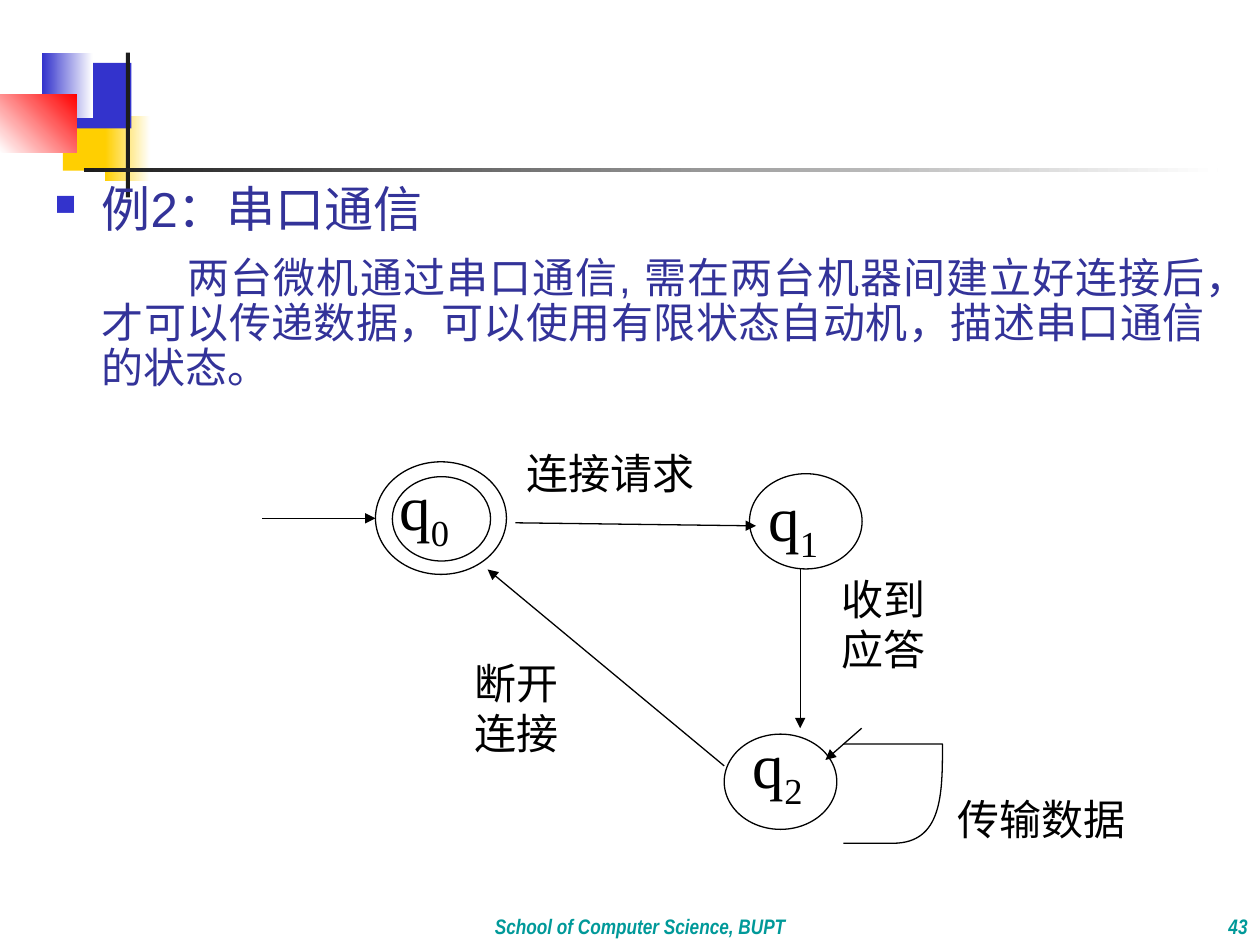
from lxml import etree
from pptx import Presentation
from pptx.dml.color import RGBColor
from pptx.enum.shapes import MSO_CONNECTOR as Connector, MSO_SHAPE as Preset
from pptx.enum.text import MSO_ANCHOR as Anchor, PP_ALIGN as Align
from pptx.oxml.ns import qn
from pptx.util import Cm, Pt

SERIF, NARROW = "Times New Roman", "Arial Narrow"
BLACK, WHITE, BLUE, INDIGO, TEAL = "000000", "FFFFFF", "3333CC", "333399", "009999"

# Corner decoration: box in cm, colours (two make a gradient), gradient angle
DECORATION = [
    ((1.27, 2.12, 1.22, 1.32), ["FFCF01"], 0),
    ((2.12, 2.33, 0.91, 1.32), ["FFCF01", WHITE], 0),
    ((1.48, 1.27, 1.17, 1.32), [BLUE], 0),
    ((0.85, 1.06, 1.02, 1.32), [BLUE, WHITE], 0),
    ((0, 1.9, 1.55, 1.17), [WHITE, "FF0000"], 45),
    ((2.54, 1.06, 0.08, 2.92), ["1C1C1C"], 0),
    ((1.69, 3.39, 22.86, 0.08), ["1C1C1C", WHITE], 0),
]
FOOTERS = [
    ((21.17, 17.78, 4.23, 1.27), "43", Align.RIGHT, 1),
    ((4.02, 17.78, 17.78, 1.27), "School of Computer Science, BUPT", Align.CENTER, 1.1),
]
BODY_BOX = (0.85, 3.6, 23.7, 4.88)
HEADING = "例2：串口通信"
DESCRIPTION = ("两台微机通过串口通信, 需在两台机器间建立好连接后，才可以传递数据，"
               "可以使用有限状态自动机，描述串口通信的状态。")

# State diagram
TRANSITION_LABELS = [
    ((19.05, 15.88, 5.29, 1.92), ["传输数据"]),
    ((16.72, 11.43, 3.78, 3.2), ["收到", "应答"]),
    ((9.31, 13.12, 3.78, 3.2), ["断开", "连接"]),
    ((10.37, 8.89, 5.29, 1.92), ["连接请求"]),
]
STATE_RINGS = [
    (7.57, 9.31, 2.64, 2.27),
    (7.91, 9.61, 1.98, 1.7),
    (15.11, 9.55, 2.27, 1.92),
    (14.6, 14.8, 2.27, 1.92),
]
STATE_NAMES = [
    ((7.8, 9.31, 2.27, 1.92), "0"),
    ((15.24, 9.53, 2.69, 2.34), "1"),
    ((14.93, 14.51, 2.27, 1.92), "2"),
]
ARROWS = [
    (5.29, 10.45, 7.57, 10.45),
    (10.39, 10.54, 15.24, 10.6),
    (16.13, 11.48, 16.13, 14.68),
    (14.6, 15.44, 9.83, 11.48),
    (17.37, 14.68, 16.64, 15.32),
]
# Start point, then three Bézier points for each curve
LOOP = [
    (16.64, 16.61),
    (17.2, 17.04), (17.75, 17.48), (18.14, 17.25),
    (18.52, 17.04), (19.02, 15.75), (18.9, 15.34),
    (18.77, 14.91), (17.63, 14.81), (17.37, 14.68),
]


def rgb(color):
    return RGBColor.from_string(color)


def cm(values):
    return [Cm(value) for value in values]


def set_font(font, name, size, color):
    font.name, font.size = name, Pt(size)
    font.color.rgb = rgb(color)


def outline(shape):
    shape.line.color.rgb = rgb(BLACK)
    shape.line.width = Pt(0.75)


def add_text_box(box, anchor=Anchor.TOP):
    frame = slide.shapes.add_textbox(*cm(box)).text_frame
    frame.word_wrap = True
    frame.vertical_anchor = anchor
    return frame


def set_indent(paragraph, left, first):
    properties = paragraph._p.get_or_add_pPr()
    properties.set("marL", str(Cm(left)))
    properties.set("indent", str(Cm(first)))
    return properties


presentation = Presentation()
presentation.slide_width, presentation.slide_height = Cm(25.4), Cm(19.05)
slide = presentation.slides.add_slide(presentation.slide_layouts[6])

# Decoration
for box, colors, angle in DECORATION:
    shape = slide.shapes.add_shape(Preset.RECTANGLE, *cm(box))
    shape.shadow.inherit = False
    shape.line.fill.background()
    if len(colors) == 1:
        shape.fill.solid()
        shape.fill.fore_color.rgb = rgb(colors[0])
    else:
        shape.fill.gradient()
        shape.fill.gradient_angle = angle
        for stop, color in zip(shape.fill.gradient_stops, colors):
            stop.color.rgb = rgb(color)

# Footer and slide number
for box, text, alignment, spacing in FOOTERS:
    paragraph = add_text_box(box, Anchor.BOTTOM).paragraphs[0]
    paragraph.text = text
    paragraph.alignment = alignment
    paragraph.line_spacing = spacing
    set_font(paragraph.font, NARROW, 12, TEAL)
    paragraph.font.bold = paragraph.font.italic = True

# Body text
body = add_text_box(BODY_BOX)
heading, description = body.paragraphs[0], body.add_paragraph()
for paragraph, text, size in [(heading, HEADING, 28), (description, DESCRIPTION, 24)]:
    paragraph.text = text
    paragraph.alignment = Align.JUSTIFY
    paragraph.line_spacing = 0.9
    paragraph.space_after = Pt(6)
description.space_before = Pt(5)
set_indent(description, 0.95, 1.73)
properties = set_indent(heading, 0.95, -0.95)
bullet_color = etree.SubElement(properties, qn("a:buClr"))
etree.SubElement(bullet_color, qn("a:srgbClr"), val=BLUE)
etree.SubElement(properties, qn("a:buSzPct"), val="60000")
etree.SubElement(properties, qn("a:buChar"), char="■")
set_font(heading.font, "Arial", 28, INDIGO)
set_font(description.font, "Arial", 24, INDIGO)

# Transition labels
for box, lines in TRANSITION_LABELS:
    frame = add_text_box(box)
    frame.text = "\n".join(lines)
    for paragraph in frame.paragraphs:
        paragraph.alignment = Align.JUSTIFY
        set_font(paragraph.font, SERIF, 24, BLACK)

# State rings
for box in STATE_RINGS:
    ring = slide.shapes.add_shape(Preset.OVAL, *cm(box))
    ring.shadow.inherit = False
    ring.fill.solid()
    ring.fill.fore_color.rgb = rgb(WHITE)
    outline(ring)

# Arrows
for ends in ARROWS:
    arrow = slide.shapes.add_connector(Connector.STRAIGHT, *cm(ends))
    outline(arrow)
    etree.SubElement(arrow.line._get_or_add_ln(), qn("a:tailEnd"), type="triangle")
    etree.SubElement(arrow._element.spPr, qn("a:effectLst"))

# Self-loop: each three line segments become one Bézier curve
builder = slide.shapes.build_freeform(*LOOP[0], scale=Cm(1))
builder.add_line_segments(LOOP[1:], close=False)
loop = builder.convert_to_shape()
loop.shadow.inherit = False
loop.fill.background()
outline(loop)
segments = list(loop._element.iter(qn("a:lnTo")))
for start in range(0, len(segments), 3):
    curve, *others = segments[start:start + 3]
    bezier = etree.SubElement(curve.getparent(), qn("a:cubicBezTo"))
    for segment in (curve, *others):
        bezier.append(segment[0])
        segment.getparent().remove(segment)

# State names
for box, number in STATE_NAMES:
    paragraph = add_text_box(box).paragraphs[0]
    paragraph.alignment = Align.JUSTIFY
    paragraph.add_run().text = "q"
    subscript = paragraph.add_run()
    subscript.text = number
    subscript._r.get_or_add_rPr().set("baseline", "-25000")
    set_font(paragraph.font, SERIF, 36, BLACK)

presentation.save("out.pptx")
